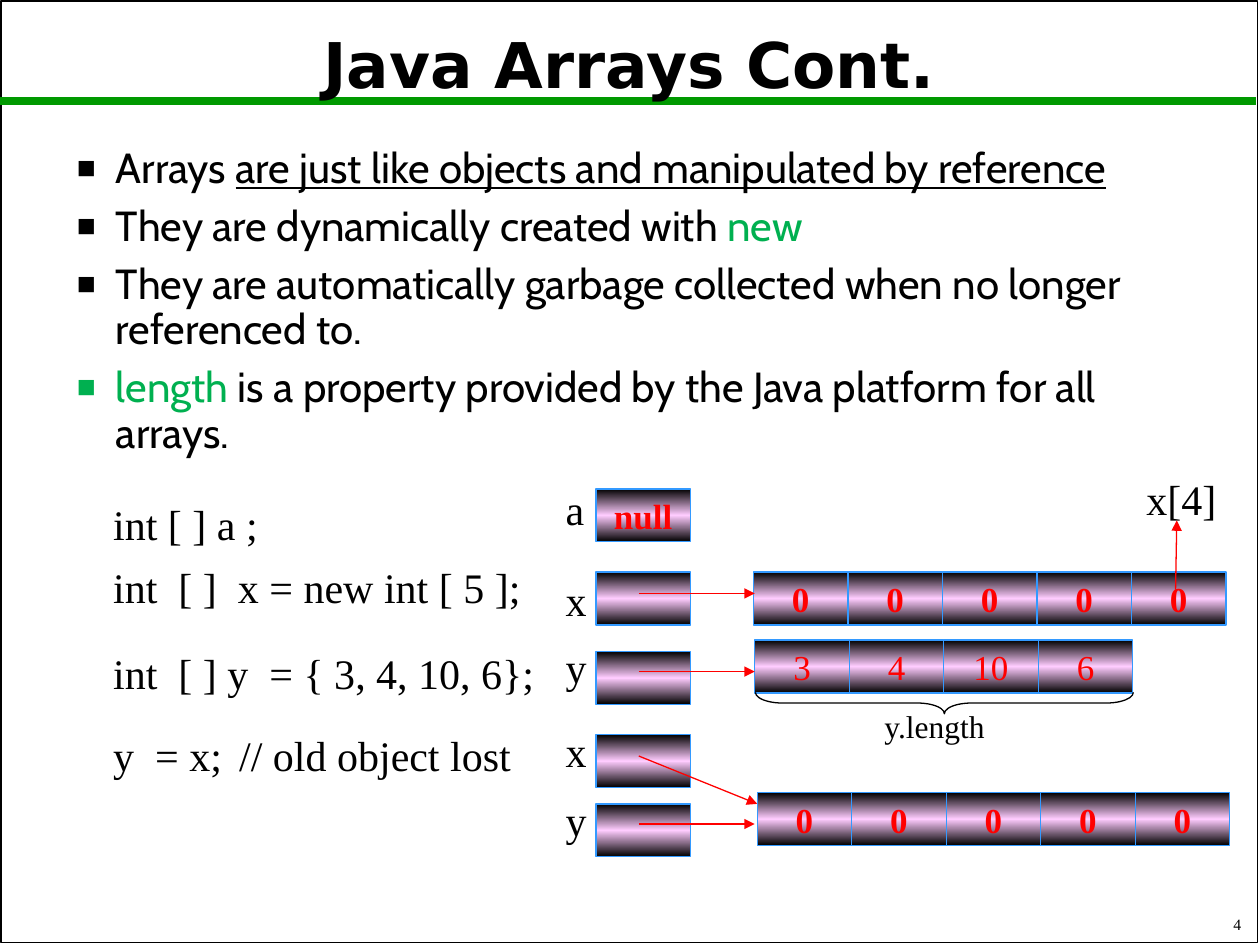
from copy import deepcopy
from pptx import Presentation
from pptx.dml.color import RGBColor as RGB
from pptx.enum.shapes import MSO_CONNECTOR as Link, MSO_SHAPE as Preset
from pptx.enum.text import MSO_ANCHOR as Anchor, MSO_AUTO_SIZE as Fit, PP_ALIGN as Align
from pptx.oxml.ns import qn
from pptx.util import Inches, Pt

theme = {
    "ink": RGB(0, 0, 0), "rule": RGB(0, 0x99, 0), "keyword": RGB(0, 0xB0, 0x50),
    "value": RGB(0xFF, 0, 0), "edge": RGB(0x33, 0x99, 0xFF), "glow": RGB(0xFF, 0xCC, 0xFF),
    "heading": "DejaVu Sans", "bullets": "Cabin", "code": "Times New Roman",
    "title": 36, "text": 24, "cell": 20, "caption": 18, "number": 9, "hairline": 0.75,
}

deck = Presentation()
deck.slide_width, deck.slide_height = Inches(10), Inches(7.5)
unit = deck.slide_width / 100
slide = deck.slides.add_slide(deck.slide_layouts[1])
shapes = slide.shapes
title, points = slide.placeholders


def grid(*cells):
    return [round(cell * unit) for cell in cells]


def style(run, size, color="ink", font="code", bold=False):
    run.font.name = theme[font]
    run.font.size = Pt(theme[size])
    run.font.bold = bold
    run.font.color.rgb = theme[color]


border = shapes.add_shape(Preset.RECTANGLE, *grid(0.1, 0.1, 99.7, 74.7))
border.shadow.inherit = False
border.fill.background()
border.line.color.rgb = theme["ink"]
border.line.width = Pt(1)

cell_w, cell_h = 7.5, 4.2
code_x, label_x, variable_x = 8, 43.9, 47.3
code_w = label_x - code_x
zeros = ["0"] * 5
cell_rows = [
    (variable_x, 38.8, ["null"], True),
    (variable_x, 45.4, [""], True),
    (variable_x, 51.7, [""], True),
    (variable_x, 58.3, [""], True),
    (variable_x, 63.8, [""], True),
    (59.8, 45.4, zeros, True),
    (59.9, 50.8, ["3", "4", "10", "6"], False),
    (60.1, 62.9, zeros, True),
]
for left, top, values, bold in cell_rows:
    for index, value in enumerate(values):
        cell = shapes.add_shape(Preset.FLOWCHART_PROCESS,
                                *grid(left + index * cell_w, top, cell_w, cell_h))
        cell.shadow.inherit = False
        cell.fill.gradient()
        stop_list = cell._element.spPr.find(qn("a:gradFill")).find(qn("a:gsLst"))
        stop_list.insert(1, deepcopy(stop_list[0]))
        for stop, position, color in zip(cell.fill.gradient_stops, (0, 0.5, 1), ("ink", "glow", "ink")):
            stop.position = position
            stop.color.rgb = theme[color]
        cell.fill.gradient_angle = 90
        cell.line.color.rgb = theme["edge"]
        cell.line.width = Pt(theme["hairline"])
        if value:
            cell.text_frame.text = value
            cell.text_frame.word_wrap = False
            cell.text_frame.vertical_anchor = Anchor.MIDDLE
            cell.text_frame.paragraphs[0].alignment = Align.CENTER
            style(cell.text_frame.paragraphs[0].runs[0], "cell", "value", bold=bold)

brace = shapes.add_shape(Preset.RIGHT_BRACE, *grid(74.1, 40.8, 1.7, 4 * cell_w))
brace.rotation = 90
brace.adjustments[0] = 1.26
brace.shadow.inherit = False
brace.fill.background()
brace.line.color.rgb = theme["ink"]
brace.line.width = Pt(theme["hairline"])

labels = [
    ("int [ ] a ;", code_x, 39.1, code_w, 5, "text"),
    ("int  [ ]  x = new int [ 5 ];", code_x, 44.1, code_w, 5, "text"),
    ("int  [ ] y  = { 3, 4, 10, 6};", code_x, 50.9, code_w, 5, "text"),
    ("y  = x;\t// old object lost", code_x, 57.4, code_w, 5, "text"),
    ("a", label_x, 37.9, 3.5, 5, "text"),
    ("x", label_x, 45.1, 3.7, 5, "text"),
    ("y", label_x, 50.4, 3.7, 5, "text"),
    ("x", label_x, 57.1, 3.7, 5, "text"),
    ("y", label_x, 62.6, 3.7, 5, "text"),
    ("x[4]", 90, 37.1, 7.6, 5, "text"),
    ("y.length", 69.2, 55.6, 10.1, 4, "caption"),
    ("4", 78.7, 71.7, 20.8, 2.9, "number"),
]
for wording, left, top, wide, high, size in labels:
    label = shapes.add_textbox(*grid(left, top, wide, high)).text_frame
    label.text = wording
    label.word_wrap = left == code_x
    style(label.paragraphs[0].runs[0], size)
    if size == "number":
        label.vertical_anchor = Anchor.BOTTOM
        label.paragraphs[0].alignment = Align.RIGHT
    else:
        label.auto_size = Fit.SHAPE_TO_FIT_TEXT

lines = [
    (0, 8, 99.7, 8, "rule", 4.5),
    (93.3, 46.8, 93.4, 41.3, "value", theme["hairline"]),
    (50.7, 47.1, 59.9, 47.1, "value", theme["hairline"]),
    (50.7, 53.3, 59.9, 53.3, "value", theme["hairline"]),
    (50.7, 60, 60.1, 63.8, "value", theme["hairline"]),
    (50.7, 65.4, 59.9, 65.4, "value", theme["hairline"]),
]
for *ends, color, weight in lines:
    link = shapes.add_connector(Link.STRAIGHT, *grid(*ends))
    link.line.color.rgb = theme[color]
    link.line.width = Pt(weight)
    properties = link._element.spPr
    properties.append(properties.makeelement(qn("a:effectLst"), {}))
    if color == "value":
        outline = properties.find(qn("a:ln"))
        outline.append(outline.makeelement(qn("a:tailEnd"), {"type": "triangle"}))

title.left, title.top, title.width, title.height = grid(0.8, 0.8, 98.3, 9.2)
title.text_frame.text = "Java Arrays Cont."
title.text_frame.auto_size = Fit.NONE
title.text_frame.vertical_anchor = Anchor.MIDDLE
heading = title.text_frame.paragraphs[0]
heading.alignment = Align.CENTER
heading.line_spacing = 0.9
style(heading.runs[0], "title", font="heading", bold=True)
shapes._spTree.append(title._element)

points.left, points.top, points.width, points.height = grid(5.1, 11.2, 85, 28.3)
points.text_frame.auto_size = Fit.NONE
statements = [
    [("Arrays ", "ink", False), ("are just like objects and manipulated by reference", "ink", True)],
    [("They are dynamically created with ", "ink", False), ("new", "keyword", False)],
    [("They are automatically garbage collected when no longer referenced to.", "ink", False)],
    [("length ", "keyword", False),
     ("is a property provided by the Java platform for all arrays.", "ink", False)],
]
for number, statement in enumerate(statements):
    point = points.text_frame.paragraphs[0] if number == 0 else points.text_frame.add_paragraph()
    point.line_spacing = 0.9
    point.space_before = Pt(0.3 * theme["text"])
    layout = point._p.get_or_add_pPr()
    layout.set("marL", str(Inches(0.31)))
    layout.set("indent", str(-Inches(0.31)))
    for tag, attributes in (("a:buSzPct", {"val": "75000"}), ("a:buFont", {"typeface": theme["code"]}),
                            ("a:buChar", {"char": "■"})):
        layout.append(layout.makeelement(qn(tag), attributes))
    for wording, color, underlined in statement:
        phrase = point.add_run()
        phrase.text = wording
        style(phrase, "text", color, "bullets")
        phrase.font.underline = underlined

deck.save("out.pptx")
